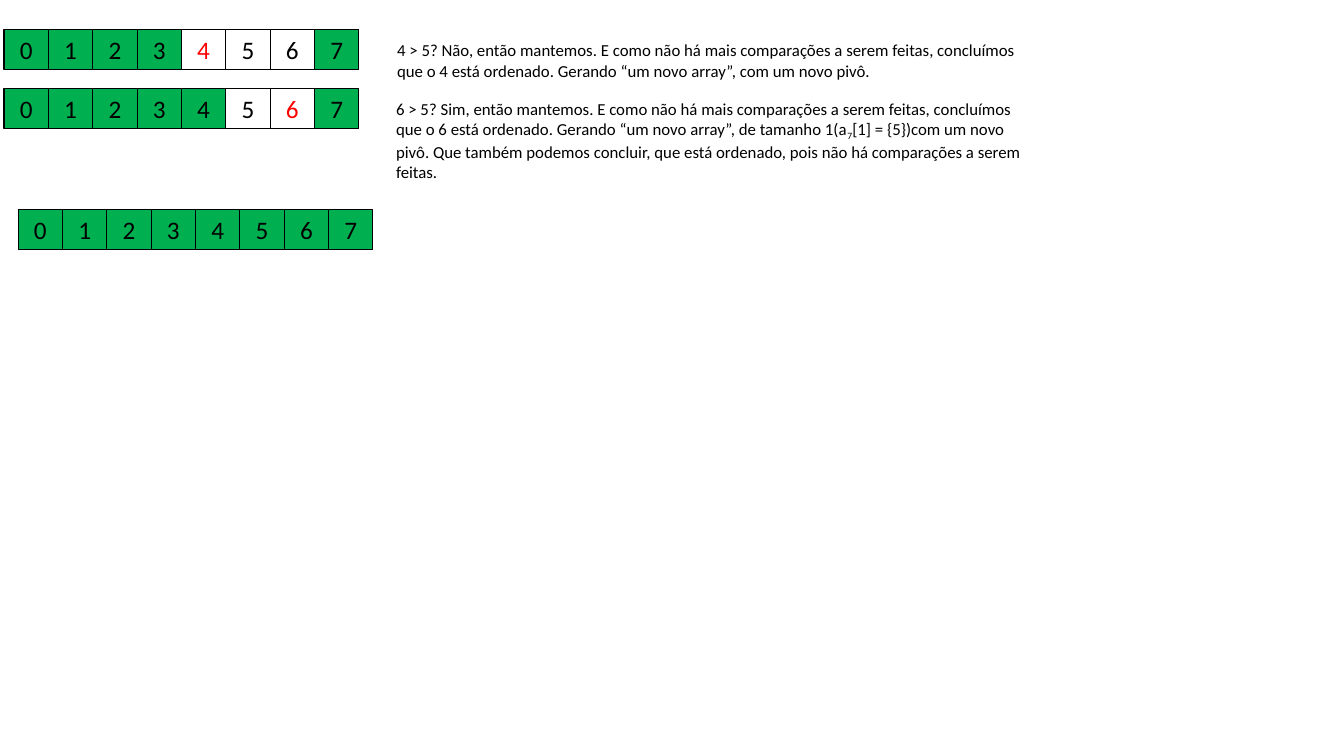
from dataclasses import dataclass

from pptx import Presentation
from pptx.dml.color import RGBColor
from pptx.enum.shapes import MSO_SHAPE
from pptx.enum.text import MSO_ANCHOR, MSO_AUTO_SIZE, PP_ALIGN
from pptx.util import Inches, Pt

RECTANGLE = MSO_SHAPE.RECTANGLE
TOP = MSO_ANCHOR.TOP
GROW = MSO_AUTO_SIZE.SHAPE_TO_FIT_TEXT
LEFT, CENTER = PP_ALIGN.LEFT, PP_ALIGN.CENTER


@dataclass(frozen=True)
class Theme:
    font: str = "Calibri"
    ink: RGBColor = RGBColor(0x00, 0x00, 0x00)
    pivot: RGBColor = RGBColor(0xFF, 0x00, 0x00)
    ordered: RGBColor = RGBColor(0x00, 0xB0, 0x50)
    value_size: float = 18
    note_size: float = 12
    border: float = 0.75
    subscript: int = -25000


CELL_WIDTH, CELL_HEIGHT = 0.44, 0.4
NOTE_WIDTH = 6.55
VALUES = range(8)

# left, top, values already in order, pivot value
STEPS = [
    (0.04, 0.29, {0, 1, 2, 3, 7}, 4),
    (0.04, 0.88, {0, 1, 2, 3, 4, 7}, 6),
    (0.18, 2.08, set(VALUES), None),
]

# left, top, height, runs as (wording, is subscript)
NOTES = [
    (3.84, 0.35, 0.5, [
        ("4 > 5? Não, então mantemos. E como não há mais comparações a serem "
         "feitas, concluímos que o 4 está ordenado. Gerando “um novo array”, "
         "com um novo pivô.", False),
    ]),
    (3.83, 0.93, 0.91, [
        ("6 > 5? Sim, então mantemos. E como não há mais comparações a serem "
         "feitas, concluímos que o 6 está ordenado. Gerando “um novo array”, "
         "de tamanho 1(a", False),
        ("7", True),
        ("[1] = {5})com um novo pivô. Que também podemos concluir, que está "
         "ordenado, pois não há comparações a serem feitas.", False),
    ]),
]


class SortingSlide:
    def __init__(self, slide, theme):
        self.slide = slide
        self.theme = theme

    def set_text(self, frame, runs, *, size, color, align=LEFT):
        frame.word_wrap = True
        frame.auto_size = GROW
        frame.vertical_anchor = TOP
        paragraph = frame.paragraphs[0]
        paragraph.alignment = align
        for wording, is_subscript in runs:
            run = paragraph.add_run()
            run.text = wording
            run.font.name = self.theme.font
            run.font.size = Pt(size)
            run.font.color.rgb = color
            if is_subscript:
                run._r.get_or_add_rPr().set("baseline", str(self.theme.subscript))

    def cell(self, row, left, top, value, *, is_ordered, is_pivot):
        box = row.shapes.add_shape(RECTANGLE, Inches(left), Inches(top),
                                   Inches(CELL_WIDTH), Inches(CELL_HEIGHT))
        box.shadow.inherit = False
        if is_ordered:
            box.fill.solid()
            box.fill.fore_color.rgb = self.theme.ordered
        else:
            box.fill.background()
        box.line.color.rgb = self.theme.ink
        box.line.width = Pt(self.theme.border)
        self.set_text(box.text_frame, [(str(value), False)],
                      size=self.theme.value_size, align=CENTER,
                      color=self.theme.pivot if is_pivot else self.theme.ink)

    def array(self, left, top, ordered, pivot):
        """Draw one state of the array as a grouped row of cells."""
        row = self.slide.shapes.add_group_shape()
        for index, value in enumerate(VALUES):
            self.cell(row, left + index * CELL_WIDTH, top, value,
                      is_ordered=value in ordered, is_pivot=value == pivot)

    def note(self, left, top, height, runs):
        box = self.slide.shapes.add_textbox(Inches(left), Inches(top),
                                            Inches(NOTE_WIDTH), Inches(height))
        self.set_text(box.text_frame, runs, size=self.theme.note_size,
                      color=self.theme.ink)


def main():
    deck = Presentation()
    deck.slide_width, deck.slide_height = Inches(13.33), Inches(7.5)
    blank_layout = deck.slide_layouts[6]
    sorting = SortingSlide(deck.slides.add_slide(blank_layout), Theme())
    for step in STEPS:
        sorting.array(*step)
    for explanation in NOTES:
        sorting.note(*explanation)
    deck.save("out.pptx")


if __name__ == "__main__":
    main()
